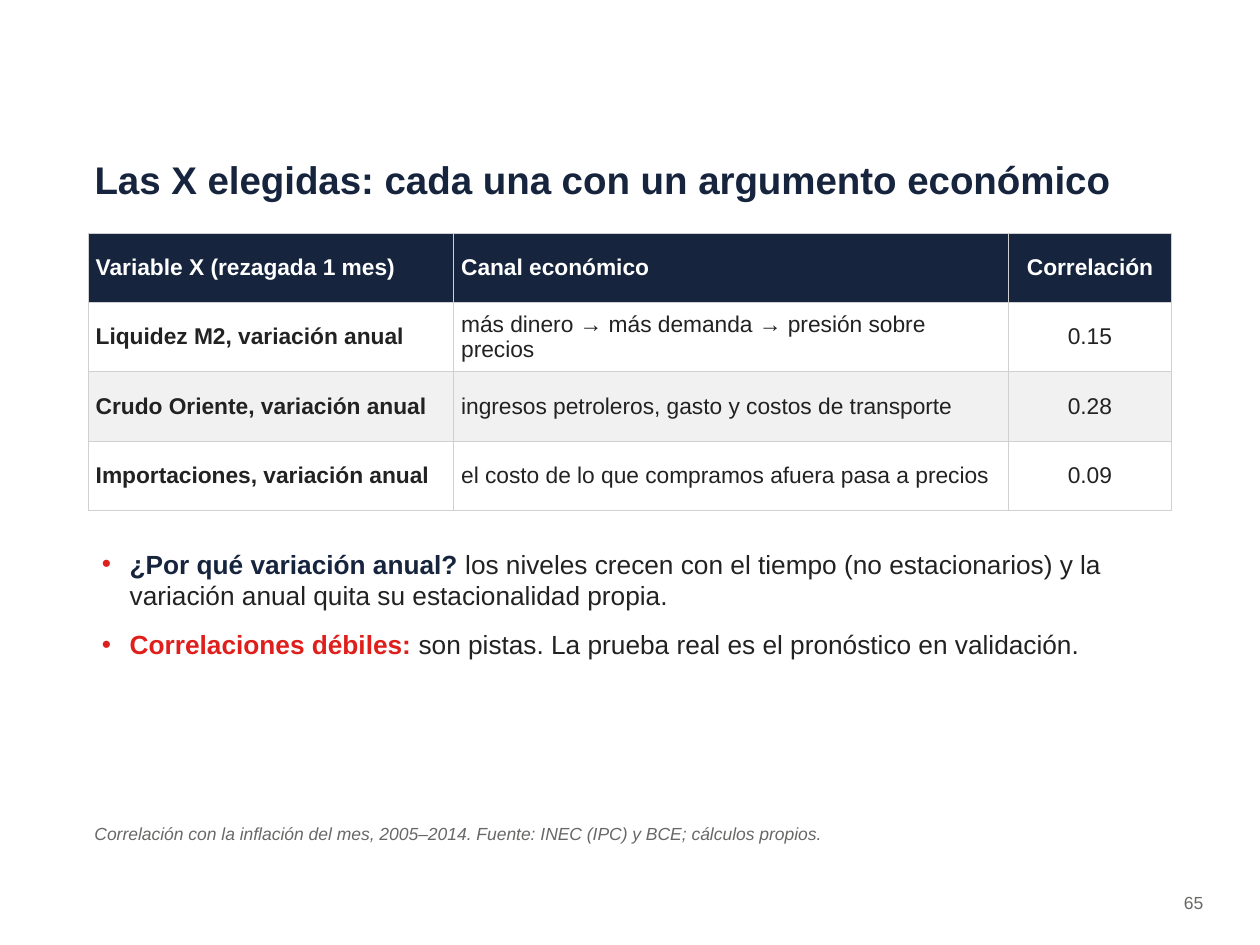
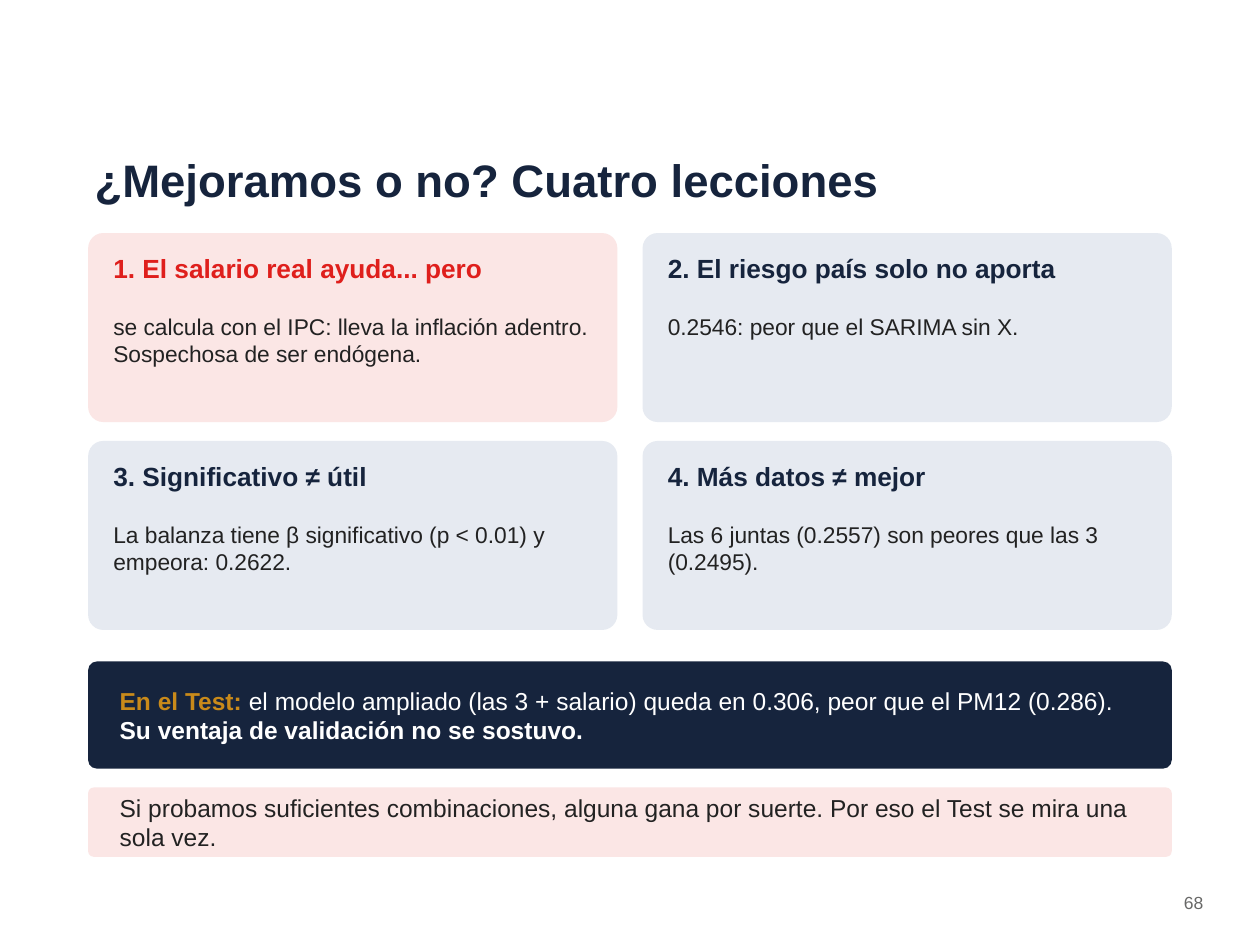
from lxml.etree import SubElement
from pptx import Presentation
from pptx.dml.color import RGBColor
from pptx.enum.shapes import MSO_SHAPE as Shape
from pptx.enum.text import MSO_ANCHOR as Anchor, MSO_AUTO_SIZE as AutoSize, PP_ALIGN as Align
from pptx.oxml.ns import qn
from pptx.util import Inches, Pt

NAVY = RGBColor(0x16, 0x24, 0x3D)
RED = RGBColor(0xDF, 0x1F, 0x1C)
GOLD = RGBColor(0xC9, 0x8A, 0x1A)
INK = RGBColor(0x22, 0x22, 0x22)
GRAY = RGBColor(0x68, 0x68, 0x67)
WHITE = RGBColor(0xFF, 0xFF, 0xFF)
STRIPE = RGBColor(0xF1, 0xF1, 0xF1)
BORDER = RGBColor(0xD0, 0xD0, 0xD0)
PALE_RED = RGBColor(0xFB, 0xE6, 0xE5)
PALE_BLUE = RGBColor(0xE6, 0xEA, 0xF1)

FONT = "Arial"
LEFT, CONTENT_TOP, WIDTH = 0.7, 1.85, 8.6

# Formatted text is a list of paragraphs; each paragraph lists (text, colour, bold) runs.
VARIABLES = {
    "title": "Las X elegidas: cada una con un argumento económico",
    "title_size": 22,
    "number": "65",
    "rows": [
        ("Variable X (rezagada 1 mes)", "Canal económico", "Correlación"),
        ("Liquidez M2, variación anual", "más dinero → más demanda → presión sobre precios", "0.15"),
        ("Crudo Oriente, variación anual", "ingresos petroleros, gasto y costos de transporte", "0.28"),
        ("Importaciones, variación anual", "el costo de lo que compramos afuera pasa a precios", "0.09"),
    ],
    "remarks": [
        [("¿Por qué variación anual? ", NAVY, True),
         ("los niveles crecen con el tiempo (no estacionarios) y la variación anual "
          "quita su estacionalidad propia.", INK, False)],
        [("Correlaciones débiles: ", RED, True),
         ("son pistas. La prueba real es el pronóstico en validación.", INK, False)],
    ],
    "source": "Correlación con la inflación del mes, 2005–2014. "
              "Fuente: INEC (IPC) y BCE; cálculos propios.",
}
COLUMN_WIDTHS = (2.9, 4.4, 1.3)
ROW_HEIGHT = 0.55

LESSONS = {
    "title": "¿Mejoramos o no? Cuatro lecciones",
    "title_size": 26,
    "number": "68",
    "cards": [
        ("1. El salario real ayuda... pero",
         "se calcula con el IPC: lleva la inflación adentro. Sospechosa de ser endógena.",
         RED, PALE_RED),
        ("2. El riesgo país solo no aporta", "0.2546: peor que el SARIMA sin X.",
         NAVY, PALE_BLUE),
        ("3. Significativo ≠ útil",
         "La balanza tiene β significativo (p < 0.01) y empeora: 0.2622.", NAVY, PALE_BLUE),
        ("4. Más datos ≠ mejor", "Las 6 juntas (0.2557) son peores que las 3 (0.2495).",
         NAVY, PALE_BLUE),
    ],
    # top, height, fill, paragraphs
    "bands": [
        (5.25, 0.85, NAVY, [[
            ("En el Test: ", GOLD, True),
            ("el modelo ampliado (las 3 + salario) queda en 0.306, "
             "peor que el PM12 (0.286). ", WHITE, False),
            ("Su ventaja de validación no se sostuvo.", WHITE, True)]]),
        (6.25, 0.55, PALE_RED, [[
            ("Si probamos suficientes combinaciones, alguna gana por suerte. "
             "Por eso el Test se mira una sola vez.", INK, False)]]),
    ],
}
CARD_WIDTH, CARD_HEIGHT = 4.2, 1.5
CARD_GAP_X, CARD_GAP_Y = 0.2, 0.15


def add_bullet(paragraph):
    properties = paragraph._p.get_or_add_pPr()
    properties.set("marL", str(Inches(0.28)))
    properties.set("indent", str(-Inches(0.22)))
    colour = SubElement(properties, qn("a:buClr"))
    SubElement(colour, qn("a:srgbClr"), val=str(RED))
    SubElement(properties, qn("a:buFont"), typeface=FONT)
    SubElement(properties, qn("a:buChar"), char="•")


def write_text(frame, content, size, color=INK, bold=False, italic=False,
               align=Align.LEFT, space_after=4, bullets=False):
    """Fill a frame with a plain string or with a list of paragraphs of runs."""
    paragraphs = [[(content, color, bold)]] if isinstance(content, str) else content
    for index, runs in enumerate(paragraphs):
        paragraph = frame.add_paragraph() if index else frame.paragraphs[0]
        if bullets:
            add_bullet(paragraph)
        paragraph.alignment = align
        paragraph.space_after = Pt(space_after)
        for text, run_color, run_bold in runs:
            run = paragraph.add_run()
            run.text = text
            font = run.font
            font.name, font.size = FONT, Pt(size)
            font.bold, font.italic = run_bold, italic
            font.color.rgb = run_color


def set_margins(target, side, end):
    target.margin_left = target.margin_right = Inches(side)
    target.margin_top = target.margin_bottom = Inches(end)


def prepare_frame(frame, anchor, end_margin=0.03):
    frame.word_wrap = True
    frame.auto_size = AutoSize.NONE
    frame.vertical_anchor = anchor
    set_margins(frame, 0.05, end_margin)


def add_text(slide, box, content, size, anchor=Anchor.TOP, end_margin=0.03, **style):
    frame = slide.shapes.add_textbox(*map(Inches, box)).text_frame
    prepare_frame(frame, anchor, end_margin)
    write_text(frame, content, size, **style)


def add_panel(slide, box, fill):
    panel = slide.shapes.add_shape(Shape.ROUNDED_RECTANGLE, *map(Inches, box))
    panel.adjustments[0] = 0.08
    panel.shadow.inherit = False
    panel.fill.solid()
    panel.fill.fore_color.rgb = fill
    panel.line.fill.background()


def add_titled_slide(deck, content):
    slide = deck.slides.add_slide(deck.slide_layouts[5])
    title = slide.shapes.title
    title.left, title.top, title.width, title.height = map(Inches, (LEFT, 1.05, WIDTH, 0.75))
    prepare_frame(title.text_frame, Anchor.MIDDLE)
    write_text(title.text_frame, content["title"], content["title_size"], color=NAVY, bold=True)
    add_text(slide, (9, 7.05, 0.6, 0.3), content["number"], 10, color=GRAY, align=Align.RIGHT)
    return slide


def set_borders(cell):
    properties = cell._tc.get_or_add_tcPr()
    for side in ("lnL", "lnR", "lnT", "lnB"):
        line = SubElement(properties, qn(f"a:{side}"), w=str(Pt(0.5)))
        fill = SubElement(line, qn("a:solidFill"))
        SubElement(fill, qn("a:srgbClr"), val=str(BORDER))


def add_variable_table(slide, rows):
    box = (LEFT, CONTENT_TOP, WIDTH, ROW_HEIGHT * len(rows))
    table = slide.shapes.add_table(len(rows), len(COLUMN_WIDTHS), *map(Inches, box)).table
    table.horz_banding = False
    for column, width in zip(table.columns, COLUMN_WIDTHS):
        column.width = Inches(width)
    for r, row in enumerate(rows):
        header = r == 0
        row_fill = NAVY if header else WHITE if r % 2 else STRIPE
        for c, text in enumerate(row):
            cell = table.cell(r, c)
            set_borders(cell)
            cell.fill.solid()
            cell.fill.fore_color.rgb = row_fill
            cell.vertical_anchor = Anchor.MIDDLE
            set_margins(cell, 0.06, 0.03)
            write_text(cell.text_frame, text, 13, color=WHITE if header else INK,
                       bold=header or c == 0, space_after=0,
                       align=Align.CENTER if c == 2 else Align.LEFT)


def add_card(slide, index, heading, body, heading_color, fill):
    row, column = divmod(index, 2)
    left = LEFT + column * (CARD_WIDTH + CARD_GAP_X)
    top = CONTENT_TOP + row * (CARD_HEIGHT + CARD_GAP_Y)
    text_left, text_width = left + 0.15, CARD_WIDTH - 0.3
    add_panel(slide, (left, top, CARD_WIDTH, CARD_HEIGHT), fill)
    add_text(slide, (text_left, top + 0.12, text_width, 0.45), heading, 15,
             color=heading_color, bold=True)
    add_text(slide, (text_left, top + 0.6, text_width, 0.8), body, 13)


def build_variables(deck):
    slide = add_titled_slide(deck, VARIABLES)
    add_variable_table(slide, VARIABLES["rows"])
    add_text(slide, (LEFT, 4.3, WIDTH, 1.4), VARIABLES["remarks"], 15,
             end_margin=0.05, space_after=10, bullets=True)
    add_text(slide, (LEFT, 6.5, WIDTH, 0.3), VARIABLES["source"], 10, color=GRAY, italic=True)


def build_lessons(deck):
    slide = add_titled_slide(deck, LESSONS)
    for index, card in enumerate(LESSONS["cards"]):
        add_card(slide, index, *card)
    for top, height, fill, message in LESSONS["bands"]:
        add_panel(slide, (LEFT, top, WIDTH, height), fill)
        add_text(slide, (LEFT + 0.2, top, WIDTH - 0.4, height), message, 14,
                 anchor=Anchor.MIDDLE)


def main():
    deck = Presentation()
    deck.slide_width, deck.slide_height = Inches(10), Inches(7.5)
    build_variables(deck)
    build_lessons(deck)
    deck.save("out.pptx")


if __name__ == "__main__":
    main()
